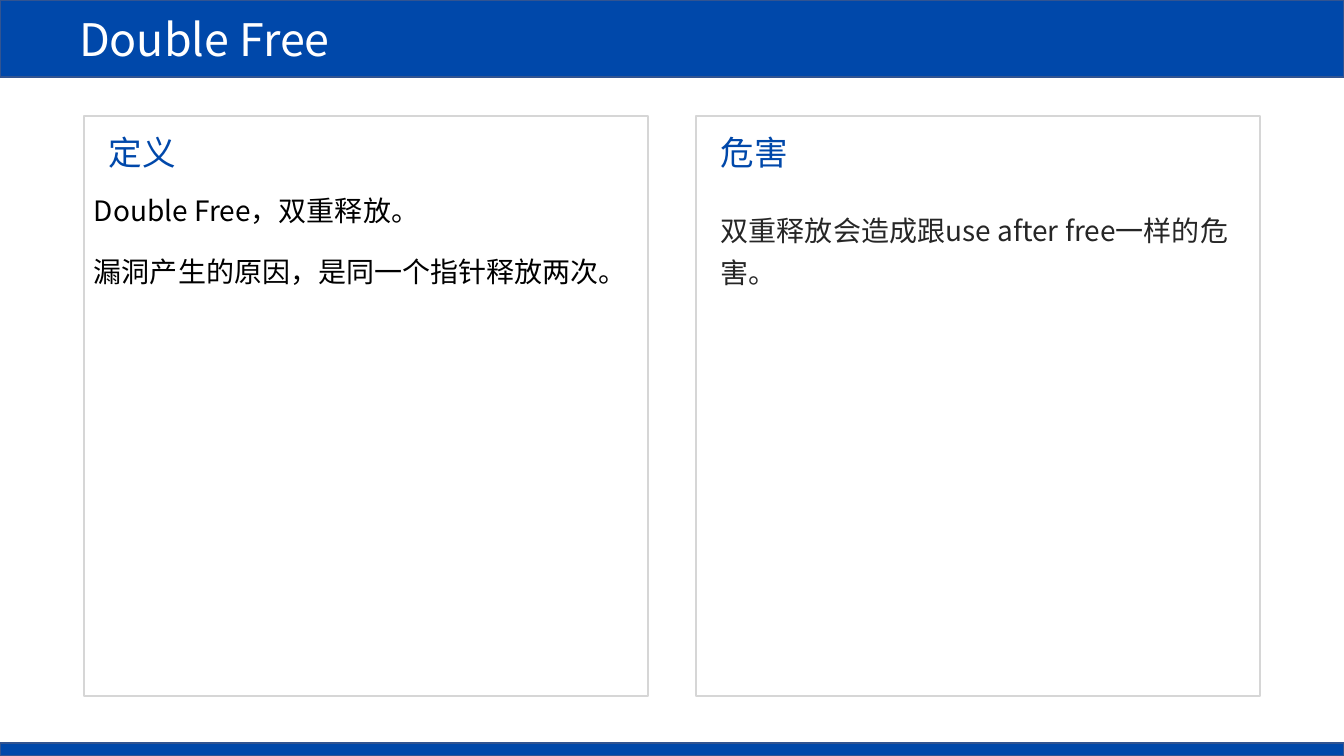
"""Build the Double Free slide: title bar, two bordered panels, footer bar."""
from pptx import Presentation
from pptx.dml.color import RGBColor
from pptx.enum.shapes import MSO_SHAPE as Shape
from pptx.enum.text import MSO_ANCHOR as Anchor, PP_ALIGN as Align
from pptx.util import Emu, Pt

TITLE = "Double Free"
PANELS = [
    dict(heading="定义", body=["Double Free，双重释放。", "漏洞产生的原因，是同一个指针释放两次。"],
         box=(0, 73, 564, 112), fmt=dict(color="black", gap=19)),
    dict(heading="危害", body=["双重释放会造成跟use after free一样的危害。"],
         box=(15, 84, 532, 91), fmt=dict(color="dark", spacing=1.25)),
]
THEME = dict(
    font="Noto Sans CJK SC",
    sizes=dict(title=32, heading=24, body=20),
    colors=dict(blue="0048AA", edge="325491", border="D6D6D6",
                white="FFFFFF", black="000000", dark="262626"),
)
W, H = 1344, 756
BAR_H, FOOT_H = 77, 13
PANEL_X, PANEL_Y, PANEL_W, PANEL_H, PANEL_GAP = 84, 116, 564, 580, 48
HEADING = (15, 11, 89, 50)
TITLE_INSET = 79


def px(n):
    return Emu(round(n * 914400 / 100.8))


def rgb(name):
    return RGBColor.from_string(THEME["colors"][name])


def add_rect(s, x, y, w, h, line, fill=None):
    sp = s.shapes.add_shape(Shape.RECTANGLE, px(x), px(y), px(w), px(h))
    sp.shadow.inherit = False
    if fill:
        sp.fill.solid()
        sp.fill.fore_color.rgb = rgb(fill)
    else:
        sp.fill.background()
    sp.line.color.rgb = rgb(line)
    sp.line.width = Pt(1)
    return sp


def write(sp, lines, role="body", color="black", wrap=True, gap=0, spacing=None):
    tf = sp.text_frame
    tf.word_wrap = wrap
    for i, text in enumerate(lines):
        p = tf.add_paragraph() if i else tf.paragraphs[0]
        p.alignment = Align.LEFT
        if i:
            p.space_before = Pt(gap)
        if spacing:
            p.line_spacing = spacing
        r = p.add_run()
        r.text = text
        r.font.name = THEME["font"]
        r.font.size = Pt(THEME["sizes"][role])
        r.font.color.rgb = rgb(color)
        ea = r.font._element.makeelement(
            "{http://schemas.openxmlformats.org/drawingml/2006/main}ea", {"typeface": THEME["font"]})
        r.font._element.append(ea)
    return tf


def add_text(s, x, y, w, h, lines, **fmt):
    return write(s.shapes.add_textbox(px(x), px(y), px(w), px(h)), lines, **fmt)


def main():
    prs = Presentation()
    prs.slide_width, prs.slide_height = px(W), px(H)
    s = prs.slides.add_slide(prs.slide_layouts[6])

    bar = add_rect(s, 0, 0, W, BAR_H, "edge", "blue")
    tf = write(bar, [TITLE], role="title", color="white")
    tf.vertical_anchor = Anchor.MIDDLE
    tf.margin_left = px(TITLE_INSET)
    add_rect(s, 0, H - FOOT_H, W, FOOT_H, "edge", "blue")

    for i, panel in enumerate(PANELS):
        x = PANEL_X + i * (PANEL_W + PANEL_GAP)
        add_rect(s, x, PANEL_Y, PANEL_W, PANEL_H, "border")
        for (dx, dy, w, h), lines, fmt in (
            (HEADING, [panel["heading"]], dict(role="heading", color="blue", wrap=False)),
            (panel["box"], panel["body"], panel["fmt"]),
        ):
            add_text(s, x + dx, PANEL_Y + dy, w, h, lines, **fmt)


    prs.save("out.pptx")


if __name__ == "__main__":
    main()
